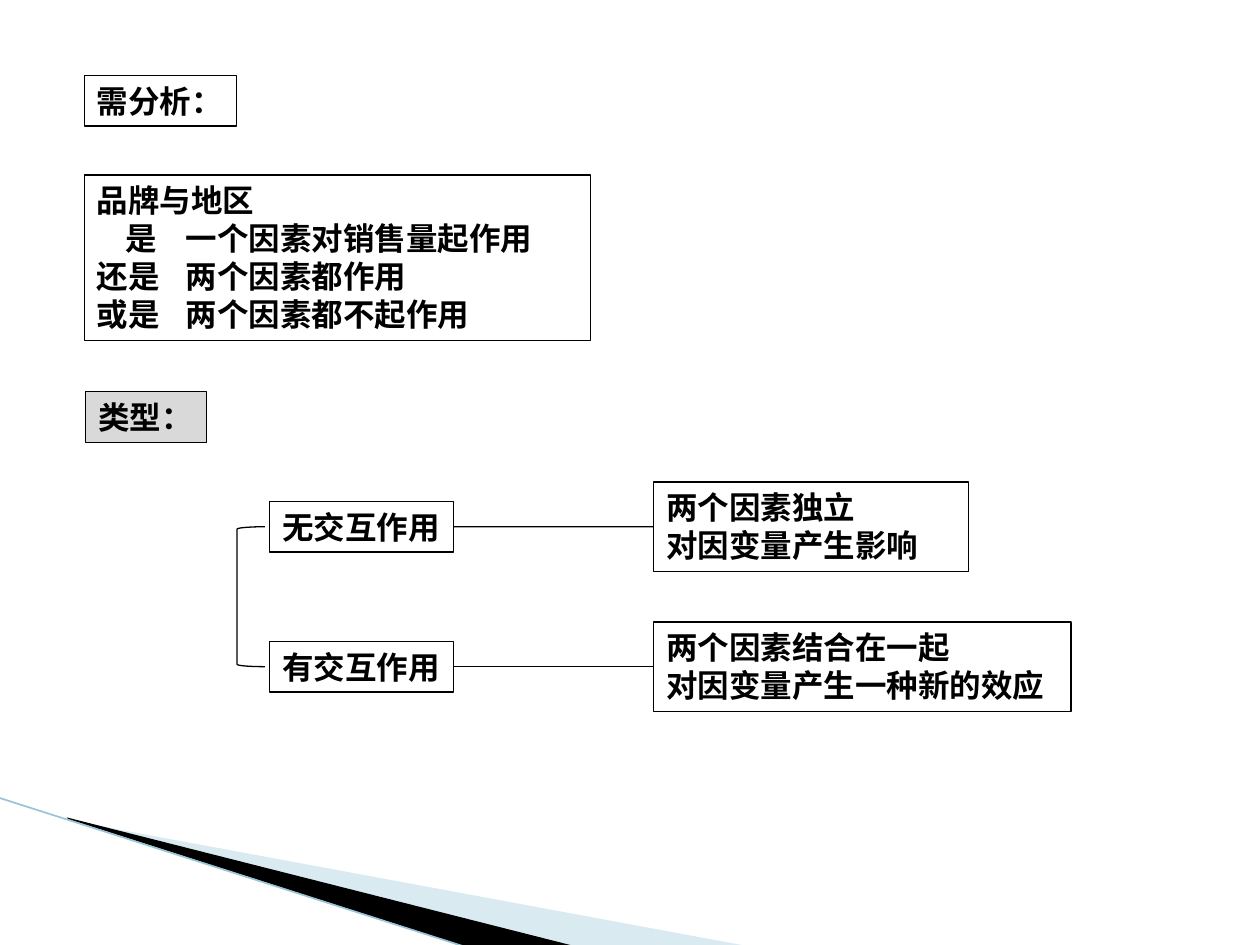
from dataclasses import dataclass

from lxml import etree
from pptx import Presentation
from pptx.dml.color import RGBColor as RGB
from pptx.enum.shapes import MSO_CONNECTOR as CONN, MSO_SHAPE as SHAPE
from pptx.enum.text import MSO_ANCHOR as ANCHOR, PP_ALIGN as ALIGN
from pptx.oxml.ns import qn
from pptx.util import Cm, Pt


@dataclass(frozen=True)
class Theme:
    font: str = "Times New Roman"
    size: float = 18
    ink: str = "000000"
    grey: str = "D9D9D9"
    pale: str = "A0CBDC"
    edge: str = "97C5D8"
    thin: float = 0.75
    edge_width: float = 0.95


def put_text(p, text, *, theme, align=ALIGN.JUSTIFY, tabs=()):
    """Write one formatted paragraph; tabs are stops in centimetres."""
    p.alignment = align
    r = p.add_run()
    r.text = text
    r.font.name, r.font.size, r.font.bold = theme.font, Pt(theme.size), True
    r.font.color.rgb = RGB.from_string(theme.ink)
    if tabs:
        stops = etree.SubElement(p._p.get_or_add_pPr(), qn("a:tabLst"))
        for pos in tabs:
            etree.SubElement(stops, qn("a:tab"), pos=str(Cm(pos)), algn="l")


class Builder:
    def __init__(self, slide, theme):
        self.s, self.theme = slide, theme

    def paint(self, sp, fill=None, line=None, alpha=None):
        sp.shadow.inherit = False
        if fill:
            sp.fill.solid()
            sp.fill.fore_color.rgb = RGB.from_string(fill)
            if alpha:
                color = sp.fill._xPr.find(f".//{qn('a:srgbClr')}")
                etree.SubElement(color, qn("a:alpha"), val=str(alpha * 1000))
        else:
            sp.fill.background()
        if line:
            sp.line.color.rgb = RGB.from_string(line)
            sp.line.width = Pt(self.theme.thin)
        else:
            sp.line.fill.background()

    def shape(self, kind, x, y, w, h, fill=None):
        sp = self.s.shapes.add_shape(kind, Cm(x), Cm(y), Cm(w), Cm(h))
        self.paint(sp, fill, self.theme.ink)
        return sp

    def box(self, x, y, w, h, lines, fill=None, wrap=True, **fmt):
        sp = self.shape(SHAPE.RECTANGLE, x, y, w, h, fill)
        tf = sp.text_frame
        tf.word_wrap, tf.vertical_anchor = wrap, ANCHOR.TOP
        for i, text in enumerate(lines):
            p = tf.add_paragraph() if i else tf.paragraphs[0]
            put_text(p, text, theme=self.theme, **fmt)
        return sp

    def line(self, start=(0, 0), end=(0, 0), color=None, width=None):
        c = self.s.shapes.add_connector(CONN.STRAIGHT, *map(Cm, start + end))
        c.line.color.rgb = RGB.from_string(color or self.theme.ink)
        c.line.width = Pt(width or self.theme.thin)
        etree.SubElement(c._element.spPr, qn("a:effectLst"))
        return c

    def join(self, left, right):
        c = self.line()
        c.begin_connect(left, 3)
        c.end_connect(right, 1)

    def polygon(self, points, fill, alpha=None):
        start, *rest = [(Cm(x), Cm(y)) for x, y in points]
        fb = self.s.shapes.build_freeform(*start)
        fb.add_line_segments(rest, close=True)
        self.paint(fb.convert_to_shape(), fill, alpha=alpha)


def main():
    prs = Presentation()
    prs.slide_width, prs.slide_height = Cm(25.4), Cm(19.05)
    theme = Theme()
    b = Builder(prs.slides.add_slide(prs.slide_layouts[6]), theme)

    # Corner decoration
    b.polygon([(1.4, 16.54), (15.11, 19.08), (11.58, 19.08), (1.4, 16.51)],
              theme.pale, alpha=40)
    b.polygon([(1.35, 16.48), (11.61, 19.08), (9.45, 19.1), (1.37, 16.51)],
              theme.ink)
    b.line((-0.03, 16.08), (9.42, 19.1), theme.edge, theme.edge_width)

    # Question to analyse
    b.box(1.7, 1.52, 3.07, 1.02, ["需分析："], wrap=False)
    b.box(1.7, 3.53, 10.21, 3.33,
          ["品牌与地区", "\t是\t一个因素对销售量起作用",
           "还是\t两个因素都作用", "或是\t两个因素都不起作用"],
          tabs=(0.58, 1.8, 2.01))

    # Types: each row is a label joined to its explanation
    b.box(1.73, 7.9, 2.44, 1.02, ["类型："], fill=theme.grey, wrap=False)
    first_mid, pitch = 10.62, 2.82
    label_h, note_h = 1.02, 1.8
    rows = [
        ("无交互作用", 6.35, ["两个因素独立", "对因变量产生影响"]),
        ("有交互作用", 8.41, ["两个因素结合在一起", "对因变量产生一种新的效应"]),
    ]
    for i, (name, note_w, note) in enumerate(rows):
        mid = first_mid + i * pitch
        label = b.box(5.44, mid - label_h / 2, 3.71, label_h, [name],
                      wrap=False, align=ALIGN.LEFT)
        b.join(label, b.box(13.18, mid - note_h / 2, note_w, note_h, note))
    b.shape(SHAPE.LEFT_BRACKET, 4.78, first_mid, 0.56, pitch)

    prs.save("out.pptx")


if __name__ == "__main__":
    main()
